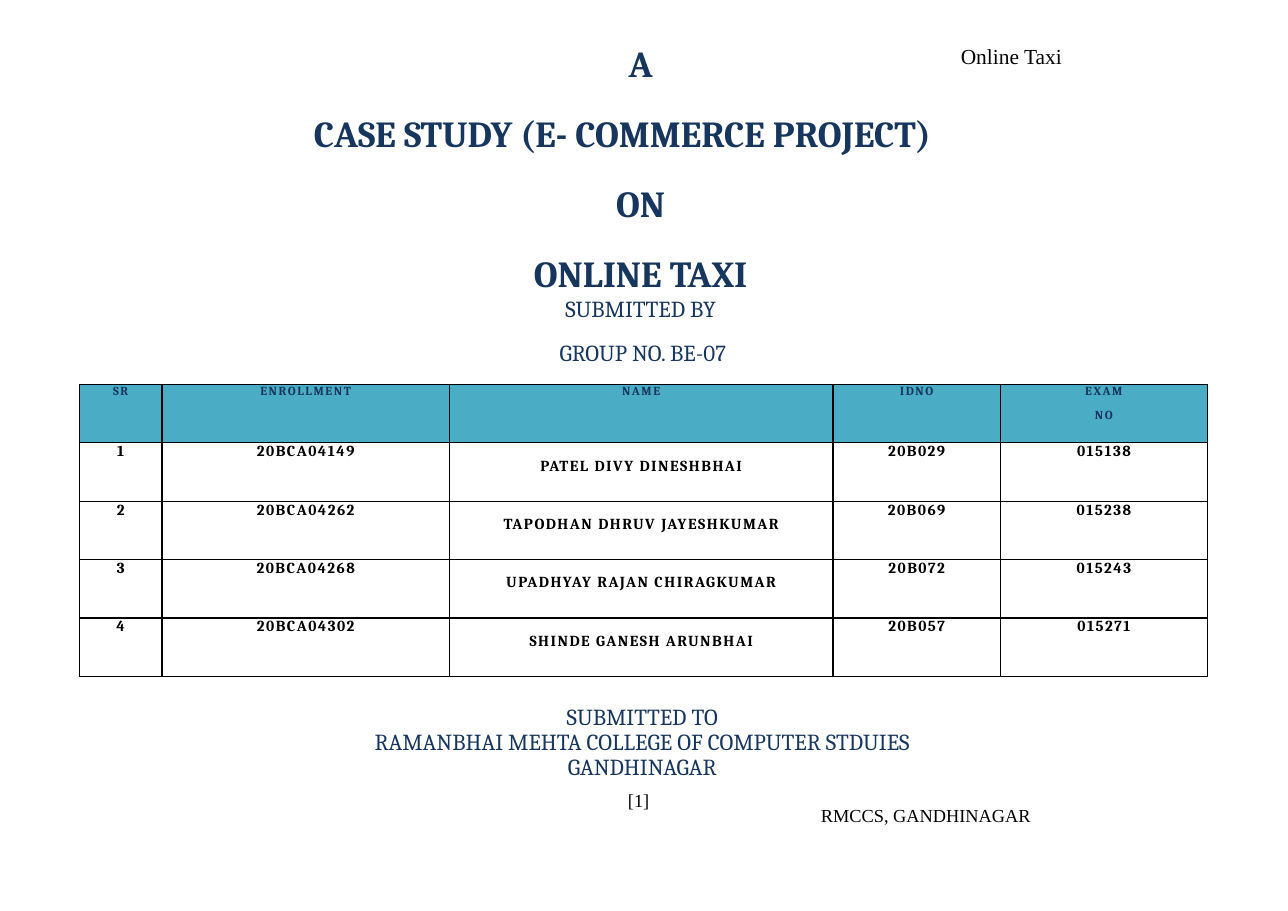
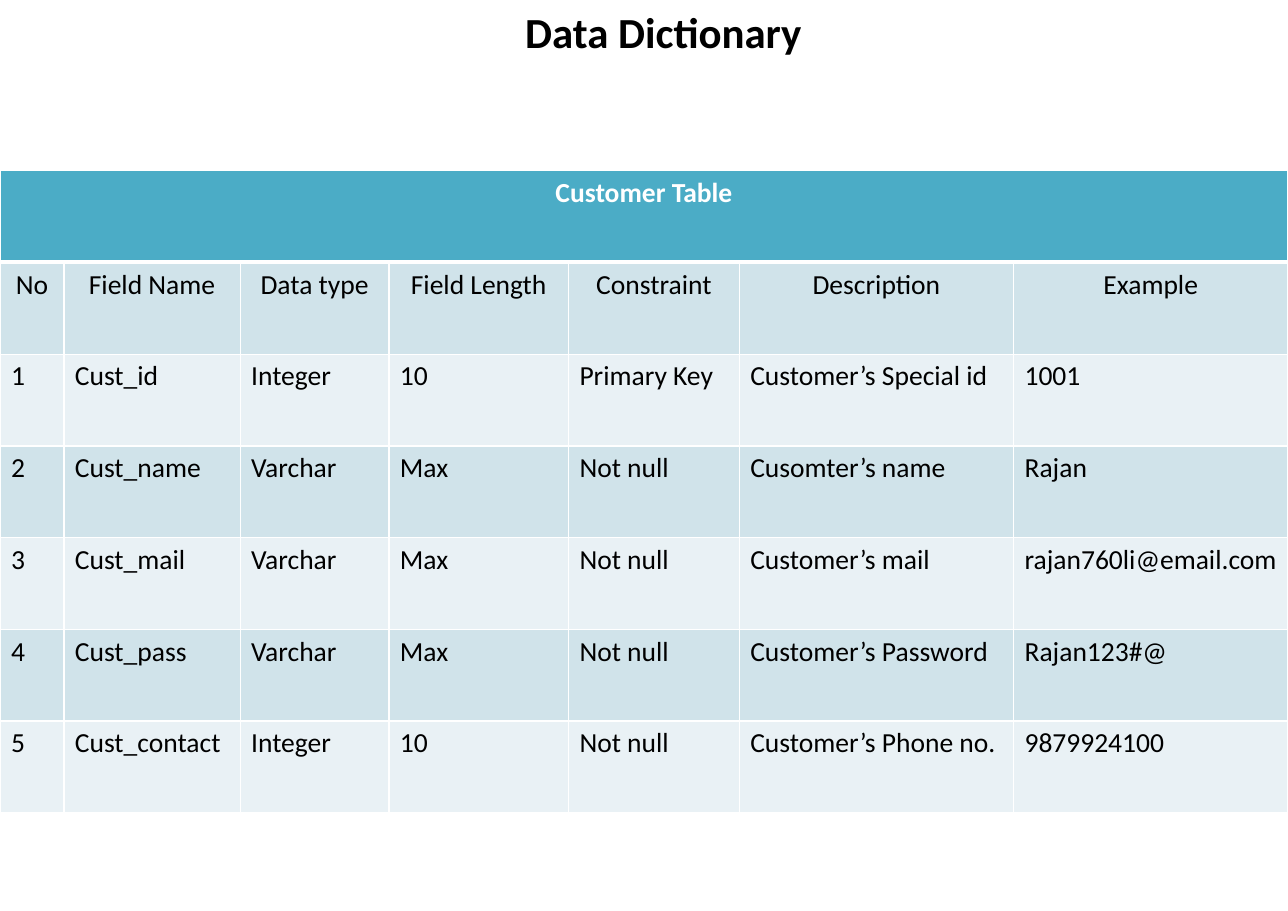
from dataclasses import dataclass, replace

from lxml.etree import SubElement
from pptx import Presentation
from pptx.dml.color import RGBColor
from pptx.enum.text import PP_ALIGN as Align
from pptx.oxml.ns import qn
from pptx.util import Inches, Pt

BLACK = RGBColor(0x00, 0x00, 0x00)
WHITE = RGBColor(0xFF, 0xFF, 0xFF)
NAVY = RGBColor(0x17, 0x36, 0x5D)
TEAL = RGBColor(0x4B, 0xAC, 0xC6)
BANDS = RGBColor(0xD0, 0xE3, 0xEA), RGBColor(0xE9, 0xF1, 0xF5)


@dataclass(frozen=True)
class Style:
    """Look of a paragraph; sizes and spacing in points."""
    face: str
    size: float
    color: RGBColor = BLACK
    bold: bool = False
    align: Align = Align.CENTER
    line: float = 0
    after: float = 0
    track: float = 0


NOTE = Style("Times New Roman", 12, align=Align.LEFT)
COVER = Style("Cambria", 24, NAVY, True, line=45.6)
SUB = Style("Cambria", 15, NAVY)
LABEL = Style("Cambria", 8, NAVY, True, after=6.3, track=1)
ENTRY = Style("Cambria", 10, bold=True, track=1)
TITLE = Style("Calibri", 28, bold=True)
HEAD = Style("Calibri", 18, WHITE, True)
FIELD = Style("Calibri", 18)
VALUE = replace(FIELD, align=Align.LEFT)

TEAM_COLS = 0.75, 2.61, 3.48, 1.52, 1.88
TEAM = [
    ("SR", "ENROLLMENT", "NAME", "IDNO", "EXAM\nNO"),
    ("1", "20BCA04149", "PATEL DIVY DINESHBHAI", "20B029", "015138"),
    ("2", "20BCA04262", "TAPODHAN DHRUV JAYESHKUMAR", "20B069", "015238"),
    ("3", "20BCA04268", "UPADHYAY RAJAN CHIRAGKUMAR", "20B072", "015243"),
    ("4", "20BCA04302", "SHINDE GANESH ARUNBHAI", "20B057", "015271"),
]

DICT_COLS = 0.58, 1.6, 1.35, 1.63, 1.55, 2.49, 2.49
DICT = [
    ("Customer Table",),
    ("No", "Field Name", "Data type", "Field Length", "Constraint",
     "Description", "Example"),
    ("1", "Cust_id", "Integer", "10", "Primary Key",
     "Customer’s Special id", "1001"),
    ("2", "Cust_name", "Varchar", "Max", "Not null",
     "Cusomter’s name", "Rajan"),
    ("3", "Cust_mail", "Varchar", "Max", "Not null",
     "Customer’s mail", "rajan760li@email.com"),
    ("4", "Cust_pass", "Varchar", "Max", "Not null",
     "Customer’s Password", "Rajan123#@"),
    ("5", "Cust_contact", "Integer", "10", "Not null",
     "Customer’s Phone no.", "9879924100"),
]


def write(frame, items):
    """Fill a text frame with one paragraph per (text, style) pair."""
    for i, (text, style) in enumerate(items):
        para = frame.add_paragraph() if i else frame.paragraphs[0]
        para.text = text
        para.alignment = style.align
        if style.line:
            para.line_spacing = Pt(style.line)
        para.space_after = Pt(style.after)
        font = para.font
        font.name, font.size, font.bold = style.face, Pt(style.size), style.bold
        font.color.rgb = style.color
        if style.track:
            props = para._p.get_or_add_pPr().get_or_add_defRPr()
            props.set("spc", str(int(style.track * 100)))


def inset(area, gap):
    area.margin_left = area.margin_right = gap
    area.margin_top = area.margin_bottom = gap


def add_text(slide, place, *items, tight=True):
    frame = slide.shapes.add_textbox(*map(Inches, place)).text_frame
    frame.word_wrap = True
    if tight:
        inset(frame, 0)
    write(frame, items)


def edge(cell, color, top=1, bottom=1):
    """Draw the four borders of a cell; they must precede its fill."""
    props = cell._tc.get_or_add_tcPr()
    sides = {"L": 1, "R": 1, "T": top, "B": bottom}
    for i, (side, width) in enumerate(sides.items()):
        line = SubElement(props, qn(f"a:ln{side}"), w=str(Pt(width)))
        fill = SubElement(line, qn("a:solidFill"))
        SubElement(fill, qn("a:srgbClr"), val=str(color))
        props.insert(i, line)


def add_grid(slide, left, top, high, cols, count):
    grid = slide.shapes.add_table(
        count, len(cols), Inches(left), Inches(top),
        Inches(sum(cols)), Inches(high)).table
    grid.first_row = grid.horz_banding = False
    for col, wide in zip(grid.columns, cols):
        col.width = Inches(wide)
    return grid


def paint(cell, color):
    cell.fill.solid()
    cell.fill.fore_color.rgb = color


def add_team(slide):
    grid = add_grid(slide, 0.72, 3.49, 2.65, TEAM_COLS, len(TEAM))
    names = replace(ENTRY, line=21.1)
    for r, row in enumerate(TEAM):
        for c, text in enumerate(row):
            cell = grid.cell(r, c)
            inset(cell, 0)
            if r == 0:
                paint(cell, TEAL)
                style = LABEL
            else:
                cell.fill.background()
                style = names if c == 2 else ENTRY
            write(cell.text_frame, [(part, style) for part in text.split("\n")])
            edge(cell, BLACK)


def add_dict(slide):
    grid = add_grid(slide, 0, 1.55, 5.83, DICT_COLS, len(DICT))
    last = len(DICT_COLS) - 1
    grid.cell(0, 0).merge(grid.cell(0, last))
    styles = [HEAD, FIELD] + [VALUE] * (len(DICT) - 2)
    for r, (row, style) in enumerate(zip(DICT, styles)):
        for c in range(last + 1):
            cell = grid.cell(r, c)
            paint(cell, BANDS[(r - 1) % 2] if r else TEAL)
            edge(cell, WHITE, top=3 if r == 1 else 1, bottom=1 if r else 3)
            if c < len(row):
                write(cell.text_frame, [(row[c], style)])


def add_cover(slide):
    add_text(slide, (8.72, 0.39, 1.59, 0.13),
             ("Online Taxi", replace(NOTE, size=14)))
    add_text(slide, (2.85, 0.14, 5.93, 2.5),
             ("A", COVER),
             ("CASE STUDY (E- COMMERCE PROJECT)",
              replace(COVER, align=Align.LEFT)),
             ("ON", COVER),
             ("ONLINE TAXI", COVER),
             ("SUBMITTED BY", SUB))
    add_text(slide, (4.63, 3.07, 2.41, 0.12), ("GROUP NO. BE-07", SUB))
    add_team(slide)
    close = replace(SUB, line=16.4)
    add_text(slide, (2.21, 6.4, 7.24, 0.44),
             ("SUBMITTED TO", close),
             ("RAMANBHAI MEHTA COLLEGE OF COMPUTER STDUIES", close),
             ("GANDHINAGAR", close))
    add_text(slide, (5.7, 7.16, 0.3, 0.14), ("[1]", NOTE))
    add_text(slide, (7.45, 7.3, 2.85, 0.13), ("RMCCS, GANDHINAGAR", NOTE))


def add_fields(slide):
    add_text(slide, (4.6, 0, 2.84, 0.57), ("Data Dictionary", TITLE),
             tight=False)
    add_dict(slide)


def main():
    deck = Presentation()
    deck.slide_width, deck.slide_height = Inches(11.69), Inches(8.27)
    for build in (add_cover, add_fields):
        build(deck.slides.add_slide(deck.slide_layouts[6]))
    deck.save("out.pptx")


if __name__ == "__main__":
    main()
